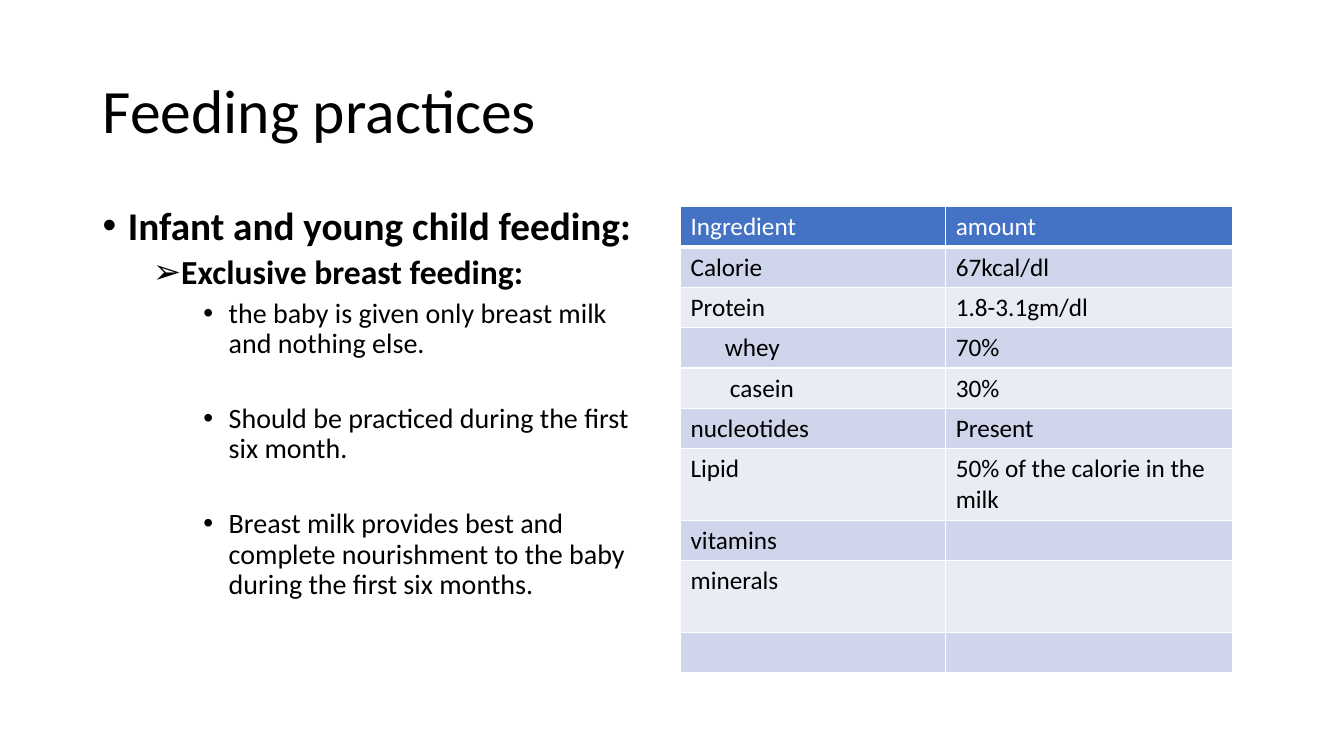
import dataclasses

import lxml.etree
import pptx
import pptx.dml.color
import pptx.enum.text
import pptx.oxml.ns
import pptx.util

PX = 9144  # one hundredth of an inch


@dataclasses.dataclass(frozen=True)
class Theme:
    font: str = "Calibri"
    ink: str = "000000"
    white: str = "FFFFFF"
    header: str = "4472C4"
    bands: tuple = ("CFD5EA", "E9EBF5")
    title_size: int = 44
    level_sizes: tuple = (28, 24, 20)
    table_size: int = 18
    rule: int = 1
    header_rule: int = 3


@dataclasses.dataclass(frozen=True)
class Box:
    left: int
    top: int
    width: int
    height: int

    def emu(self):
        return [px(side) for side in dataclasses.astuple(self)]


THEME = Theme()
BULLETS = ("•", "➢", "•")

# Level, space before in points, wording
PRACTICES = [
    (0, 0, "Infant and young child feeding:"),
    (1, 5, "Exclusive breast feeding:"),
    (2, 5, "the baby is given only breast milk and nothing else."),
    (2, 32, "Should be practiced during the first six month."),
    (2, 32, "Breast milk provides best and complete nourishment "
            "to the baby during the first six months."),
]

INGREDIENTS = [
    ("Ingredient", "amount"),
    ("Calorie", "67kcal/dl"),
    ("Protein", "1.8-3.1gm/dl"),
    ("whey", "70%"),
    ("casein", "30%"),
    ("nucleotides", "Present"),
    ("Lipid", "50% of the calorie in the milk"),
    ("vitamins", ""),
    ("minerals", ""),
    ("", ""),
]
COLUMN_WIDTHS = (263, 285)
ROW_HEIGHT = 40
TALL_ROW_HEIGHT = 71
TALL_ROWS = ("Lipid", "minerals")
CELL_INDENTS = {"whey": 44, "casein": 49}


def px(length):
    return pptx.util.Emu(length * PX)


def add_run(para, text, size, color, bold=False):
    span = para.add_run()
    span.text = text
    span.font.name = THEME.font
    span.font.size = pptx.util.Pt(size)
    span.font.bold = bold
    span.font.color.rgb = pptx.dml.color.RGBColor.from_string(color)


def add_text_frame(page, box):
    frame = page.shapes.add_textbox(*box.emu()).text_frame
    frame.word_wrap = True
    return frame


def add_bullet(para, level):
    properties = para._p.get_or_add_pPr()
    properties.set("marL", str(px(25 + 50 * level)))
    properties.set("indent", str(px(-25)))
    for tag, attribute, value in (("a:buFont", "typeface", "Arial"),
                                  ("a:buChar", "char", BULLETS[level])):
        element = lxml.etree.SubElement(properties, pptx.oxml.ns.qn(tag))
        element.set(attribute, value)


def add_title(page, box):
    frame = add_text_frame(page, box)
    frame.vertical_anchor = pptx.enum.text.MSO_ANCHOR.MIDDLE
    para = frame.paragraphs[0]
    para.line_spacing = 0.9
    add_run(para, "Feeding practices", THEME.title_size, THEME.ink)


def add_practices(page, box):
    frame = add_text_frame(page, box)
    for index, (level, space, text) in enumerate(PRACTICES):
        para = frame.add_paragraph() if index else frame.paragraphs[0]
        para.level = level
        add_bullet(para, level)
        para.line_spacing = 0.9
        para.space_before = pptx.util.Pt(space)
        add_run(para, text, THEME.level_sizes[level], THEME.ink, bold=level < 2)


def add_borders(cell, bottom_width):
    properties = cell._tc.get_or_add_tcPr()
    widths = {"a:lnL": THEME.rule, "a:lnR": THEME.rule,
              "a:lnT": THEME.rule, "a:lnB": bottom_width}
    for position, (tag, width) in enumerate(widths.items()):
        line = lxml.etree.Element(pptx.oxml.ns.qn(tag))
        line.set("w", str(pptx.util.Pt(width)))
        fill = lxml.etree.SubElement(line, pptx.oxml.ns.qn("a:solidFill"))
        color = lxml.etree.SubElement(fill, pptx.oxml.ns.qn("a:srgbClr"))
        color.set("val", THEME.white)
        properties.insert(position, line)


def add_ingredients(page, box):
    frame = page.shapes.add_table(len(INGREDIENTS), len(COLUMN_WIDTHS), *box.emu())
    table = frame.table
    for column, width in zip(table.columns, COLUMN_WIDTHS):
        column.width = px(width)
    for index, texts in enumerate(INGREDIENTS):
        is_header = index == 0
        tall = texts[0] in TALL_ROWS
        table.rows[index].height = px(TALL_ROW_HEIGHT if tall else ROW_HEIGHT)
        shade = THEME.header if is_header else THEME.bands[(index - 1) % 2]
        for column, text in enumerate(texts):
            cell = table.cell(index, column)
            cell.fill.solid()
            cell.fill.fore_color.rgb = pptx.dml.color.RGBColor.from_string(shade)
            add_borders(cell, THEME.header_rule if is_header else THEME.rule)
            if text in CELL_INDENTS:
                cell.margin_left = px(CELL_INDENTS[text])
            if text:
                add_run(cell.text_frame.paragraphs[0], text, THEME.table_size,
                        THEME.white if is_header else THEME.ink)


def main():
    deck = pptx.Presentation()
    deck.slide_width, deck.slide_height = px(1333), px(750)
    page = deck.slides.add_slide(deck.slide_layouts[6])
    add_title(page, Box(92, 40, 1150, 145))
    add_practices(page, Box(92, 200, 567, 476))
    add_ingredients(page, Box(675, 205, 548, 466))
    deck.save("out.pptx")


if __name__ == "__main__":
    main()
